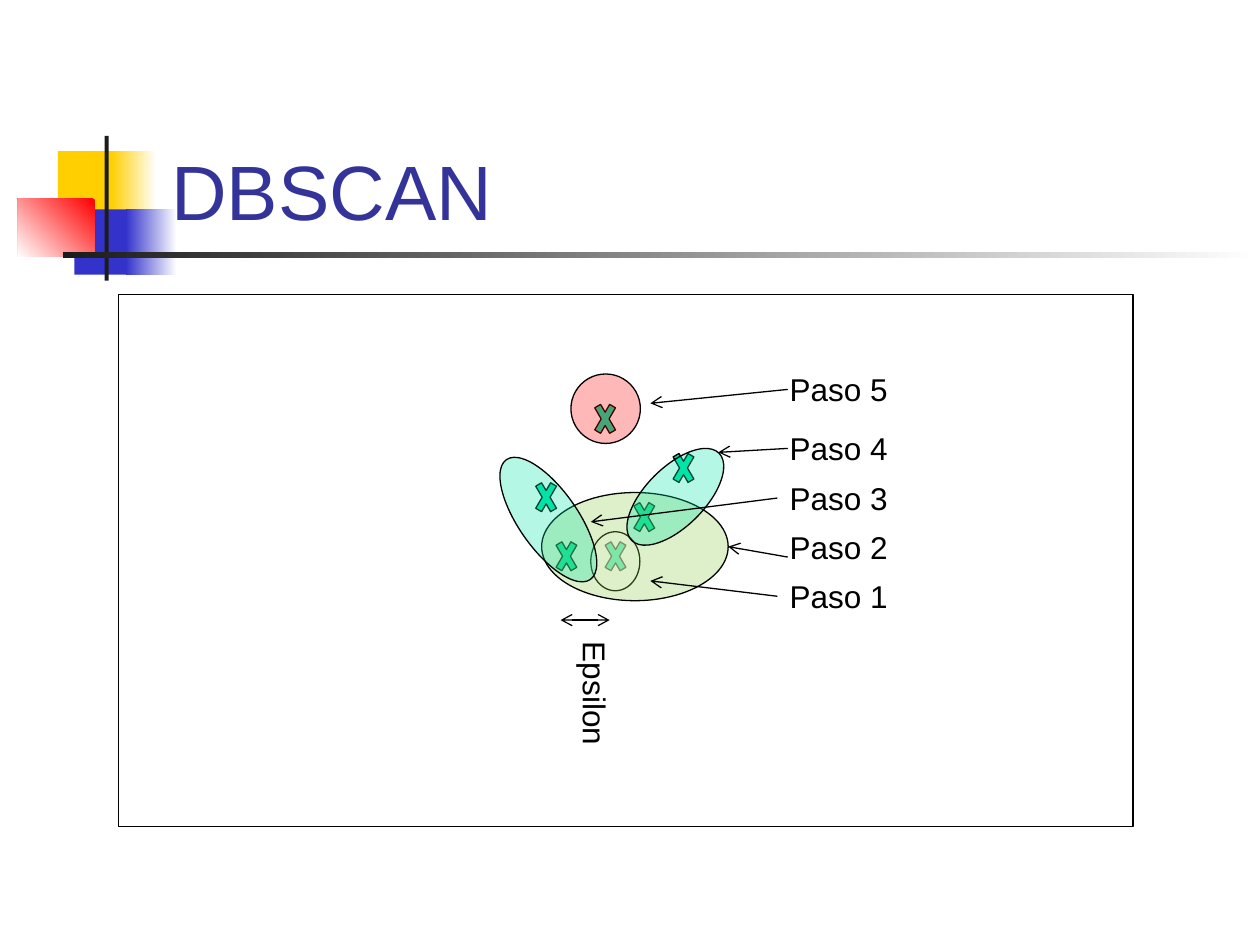
from pptx import Presentation
from pptx.dml.color import RGBColor
from pptx.enum.shapes import MSO_CONNECTOR, MSO_SHAPE
from pptx.enum.text import MSO_ANCHOR, PP_ALIGN
from pptx.oxml.ns import qn
from pptx.util import Cm, Pt
from lxml.etree import SubElement

COLORS = {
    "yellow": "FFCF01", "blue": "3333CC", "red": "FF0000", "dark": "1C1C1C",
    "title": "333399", "white": "FFFFFF", "black": "000000",
    "mint": "00E4A8", "green": "92D050",
}
RGB = {name: RGBColor.from_string(value) for name, value in COLORS.items()}

prs = Presentation()
prs.slide_width, prs.slide_height = Cm(25.4), Cm(19.05)
s = prs.slides.add_slide(prs.slide_layouts[5])


def add_shape(kind, box, color, alpha=None, outline=True):
    """Add a flat shape, optionally transparent (alpha in percent)."""
    sp = s.shapes.add_shape(kind, *[Cm(v) for v in box])
    sp.shadow.inherit = False
    sp.fill.solid()
    sp.fill.fore_color.rgb = RGB[color]
    if alpha:
        clr = sp.fill._xPr.find(qn("a:solidFill"))[0]
        SubElement(clr, qn("a:alpha")).set("val", str(alpha * 1000))
    if outline:
        sp.line.color.rgb = RGB["black"]
        sp.line.width = Pt(0.75)
    else:
        sp.line.fill.background()
    return sp


def add_arrow(x1, y1, x2, y2, ends=("tailEnd",)):
    """Add a thin line with open arrowheads at the given ends."""
    line = s.shapes.add_connector(MSO_CONNECTOR.STRAIGHT, Cm(x1), Cm(y1), Cm(x2), Cm(y2))
    line.line.color.rgb = RGB["black"]
    line.line.width = Pt(0.75)
    ln = line.line._get_or_add_ln()
    for end in ends:
        SubElement(ln, qn(f"a:{end}")).set("type", "arrow")
    SubElement(line.element.spPr, qn("a:effectLst"))
    return line


# Decoration: box, colour and gradient (angle, first and last colour)
for box, color, gradient in [
    ((1.17, 3.05, 1.22, 1.32), "yellow", None),
    ((2.24, 3.05, 0.91, 1.32), "yellow", (180, "white", "yellow")),
    ((1.5, 4.22, 1.17, 1.32), "blue", None),
    ((2.54, 4.22, 1.02, 1.32), "blue", (180, "white", "blue")),
    ((0.36, 4.01, 1.55, 1.17), "red", (225, "red", "white")),
    ((2.11, 2.74, 0.08, 2.92), "dark", None),
    ((1.27, 5.08, 24.13, 0.13), "dark", (180, "white", "dark")),
]:
    sp = add_shape(MSO_SHAPE.RECTANGLE, box, color, outline=False)
    if gradient:
        angle, *stops = gradient
        sp.fill.gradient()
        sp.fill.gradient_angle = angle
        for stop, name in zip(sp.fill.gradient_stops, stops):
            stop.color.rgb = RGB[name]

# Title, in front of the decoration
title = s.shapes.title
title.left, title.top, title.width, title.height = Cm(3.2), Cm(1.7), Cm(21.64), Cm(3.18)
s.shapes.element.append(title.element)
tf = title.text_frame
tf.text = "DBSCAN"
tf.vertical_anchor = MSO_ANCHOR.BOTTOM
p = tf.paragraphs[0]
p.alignment = PP_ALIGN.LEFT
font = p.runs[0].font
font.name, font.size, font.color.rgb = "Arial", Pt(44), RGB["title"]

# Frame
add_shape(MSO_SHAPE.RECTANGLE, (2.39, 5.94, 20.45, 10.72), "white")

# Data points
for x, y in [(12.12, 10.72), (11.13, 10.72), (12.7, 9.93),
             (10.72, 9.53), (11.91, 7.95), (13.49, 8.94)]:
    add_shape(MSO_SHAPE.MATH_MULTIPLY, (x, y, 0.58, 0.99), "mint")

# Neighbourhoods
for box, color, alpha, rotation in [
    ((11.91, 10.72, 0.99, 1.19), "white", 46, 0),
    ((10.92, 9.93, 3.76, 2.18), "green", 30, 0),
    ((12.37, 9.42, 2.49, 1.19), "mint", 29, 315),
    ((9.58, 9.88, 2.95, 1.19), "mint", 29, 55),
    ((11.51, 7.54, 1.4, 1.4), "red", 28, 0),
]:
    add_shape(MSO_SHAPE.OVAL, box, color, alpha).rotation = rotation

# Labels
labels = {}
for text, x, y, width, rotation in [
    ("Epsilon", 10.21, 13.97, 3.58, 90),
    ("Paso 1", 15.67, 11.51, 3.76, 0),
    ("Paso 2", 15.67, 10.52, 3.76, 0),
    ("Paso 3", 15.67, 9.53, 3.76, 0),
    ("Paso 4", 15.67, 8.53, 3.76, 0),
    ("Paso 5", 15.67, 7.34, 3.76, 0),
]:
    label = s.shapes.add_textbox(Cm(x), Cm(y), Cm(width), Cm(1.02))
    label.rotation = rotation
    tf = label.text_frame
    tf.word_wrap = True
    tf.text = text
    font = tf.paragraphs[0].runs[0].font
    font.name, font.size, font.color.rgb = "Arial", Pt(18), RGB["black"]
    labels[text] = label

# Arrows: radius, then one per step
add_arrow(11.3, 12.5, 12.29, 12.5, ends=("headEnd", "tailEnd"))
for step, ends, joined in [
    ("Paso 1", (15.67, 12.02, 13.11, 11.71), True),
    ("Paso 2", (15.88, 11.23, 14.68, 11.02), False),
    ("Paso 3", (15.67, 10.04, 11.91, 10.52), True),
    ("Paso 4", (15.88, 9.04, 14.48, 9.12), False),
    ("Paso 5", (15.88, 7.85, 13.11, 8.13), False),
]:
    line = add_arrow(*ends)
    if joined:
        line.begin_connect(labels[step], 1)

prs.save("out.pptx")
